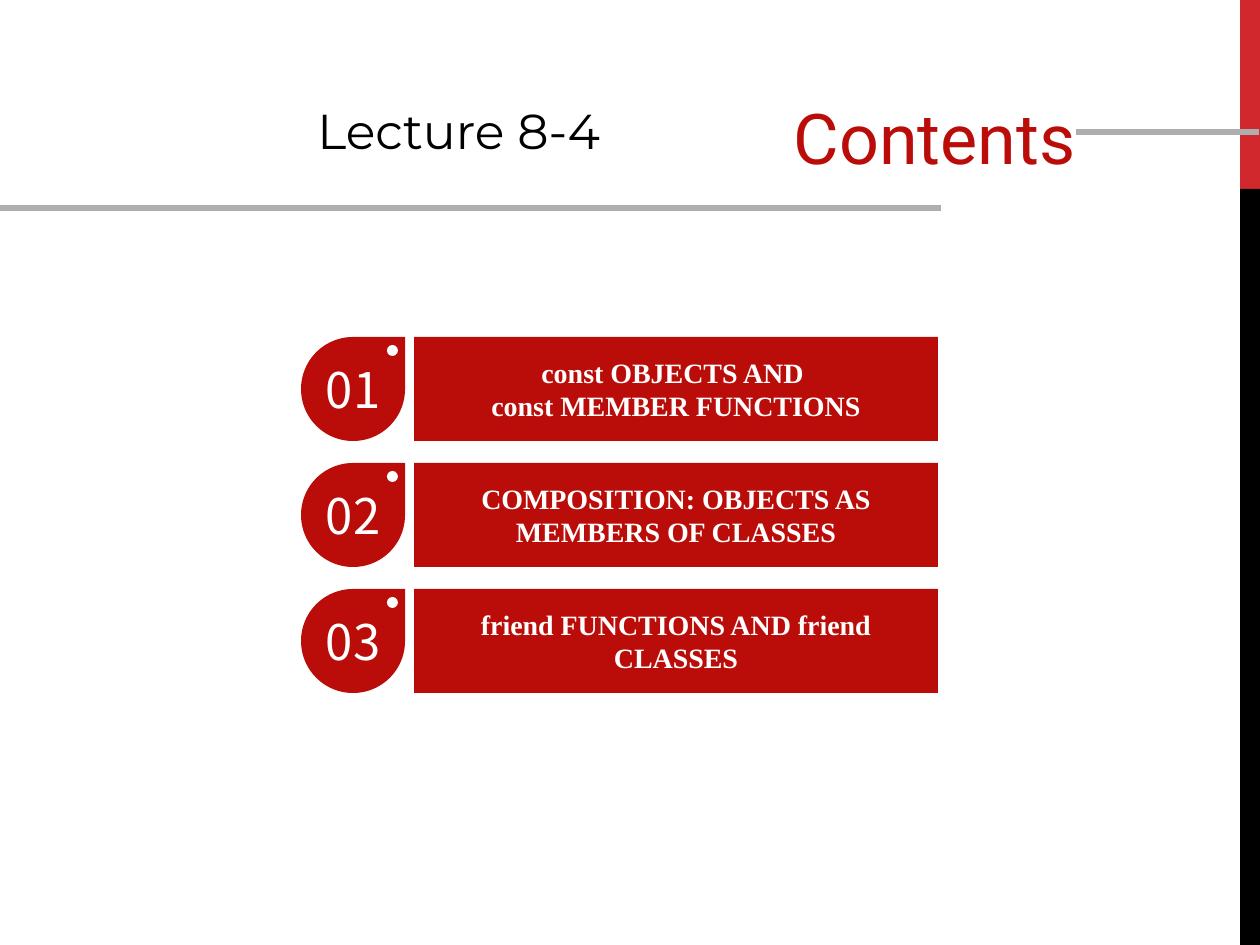
from dataclasses import dataclass

from lxml import etree
from pptx import Presentation
from pptx.dml.color import RGBColor
from pptx.enum.shapes import MSO_CONNECTOR, MSO_SHAPE
from pptx.enum.text import MSO_ANCHOR, MSO_AUTO_SIZE, PP_ALIGN
from pptx.oxml.ns import qn
from pptx.util import Emu, Pt

RECT, TEAR, OVAL = MSO_SHAPE.RECTANGLE, MSO_SHAPE.TEAR, MSO_SHAPE.OVAL
STRAIGHT = MSO_CONNECTOR.STRAIGHT
TOP, MIDDLE = MSO_ANCHOR.TOP, MSO_ANCHOR.MIDDLE
LEFT, CENTER, RIGHT = PP_ALIGN.LEFT, PP_ALIGN.CENTER, PP_ALIGN.RIGHT
FIXED = MSO_AUTO_SIZE.NONE
TITLE_ONLY = 5
PX_PER_INCH = 126


@dataclass(frozen=True)
class Theme:
    red: str = "BA0D09"
    bar_red: str = "D1282E"
    black: str = "000000"
    white: str = "FFFFFF"
    gray: str = "ACAEB0"
    title_font: str = "Roboto"
    lecture_font: str = "Montserrat"
    number_font: str = "Noto Sans CJK JP"
    topic_font: str = "Times New Roman"
    title_size: int = 40
    label_size: int = 28
    topic_size: int = 16
    rule_width: int = 3


def px(n):
    return Emu(n * 914400 // PX_PER_INCH)


class Builder:
    def __init__(self, prs, theme):
        self.theme = theme
        self.s = prs.slides.add_slide(prs.slide_layouts[TITLE_ONLY])

    def set_text(self, sp, text, font, size, color, align, bold=False):
        tf = sp.text_frame
        tf.text = text
        for p in tf.paragraphs:
            p.alignment = align
            for r in p.runs:
                r.font.name = font
                r.font.size = Pt(size)
                r.font.bold = bold
                r.font.color.rgb = RGBColor.from_string(color)
        return tf

    def title(self, text, x, y, w, h):
        t, sp = self.theme, self.s.shapes.title
        sp.left, sp.top, sp.width, sp.height = map(px, (x, y, w, h))
        tf = self.set_text(sp, text, t.title_font, t.title_size, t.red, RIGHT)
        tf.auto_size = FIXED
        tf.vertical_anchor = TOP
        tf.margin_top = px(3)

    def label(self, text, x, y, w, h):
        t = self.theme
        sp = self.s.shapes.add_textbox(*map(px, (x, y, w, h)))
        tf = self.set_text(sp, text, t.lecture_font, t.label_size, t.black, LEFT)
        tf.word_wrap = False

    def shape(self, kind, x, y, w, h, fill):
        sp = self.s.shapes.add_shape(kind, *map(px, (x, y, w, h)))
        sp.shadow.inherit = False
        sp.fill.solid()
        sp.fill.fore_color.rgb = RGBColor.from_string(fill)
        sp.line.fill.background()
        return sp

    def rule(self, x1, x2, y):
        ln = self.s.shapes.add_connector(STRAIGHT, px(x1), px(y), px(x2), px(y))
        ln.line.color.rgb = RGBColor.from_string(self.theme.gray)
        ln.line.width = Pt(self.theme.rule_width)
        etree.SubElement(ln._element.spPr, qn("a:effectLst"))

    def topic(self, number, text, x, y, h):
        t = self.theme
        # Numbered drop with its dot
        drop = self.shape(TEAR, x, y, h, h, t.red)
        tf = self.set_text(drop, number, t.number_font, t.label_size, t.white, CENTER)
        tf.margin_left = tf.margin_right = 0
        tf.margin_top = tf.margin_bottom = 0
        tf.vertical_anchor = MIDDLE
        self.shape(OVAL, x + 86, y + 8, 11, 11, t.white)
        # Topic bar
        bar = self.shape(RECT, x + 113, y, 524, h, t.red)
        tf = self.set_text(bar, text, t.topic_font, t.topic_size, t.white, CENTER, True)
        tf.vertical_anchor = MIDDLE


def main():
    prs = Presentation()
    prs.slide_width, prs.slide_height = px(1260), px(945)
    theme = Theme()
    b = Builder(prs, theme)

    # Side bars
    b.shape(RECT, 1240, 0, 20, 189, theme.bar_red)
    b.shape(RECT, 1240, 189, 20, 756, theme.black)

    # Heading
    b.title("Contents", 631, 92, 457, 146)
    b.rule(1076, 1259, 132)
    b.rule(0, 941, 208)
    b.label("Lecture 8-4", 305, 94, 334, 72)

    # Topics
    topics = [
        "const OBJECTS AND \vconst MEMBER FUNCTIONS",
        "COMPOSITION: OBJECTS AS MEMBERS OF CLASSES",
        "friend FUNCTIONS AND friend CLASSES",
    ]
    for i, text in enumerate(topics):
        b.topic(f"{i + 1:02}", text, 301, 337 + i * 126, 104)

    prs.save("out.pptx")


if __name__ == "__main__":
    main()
